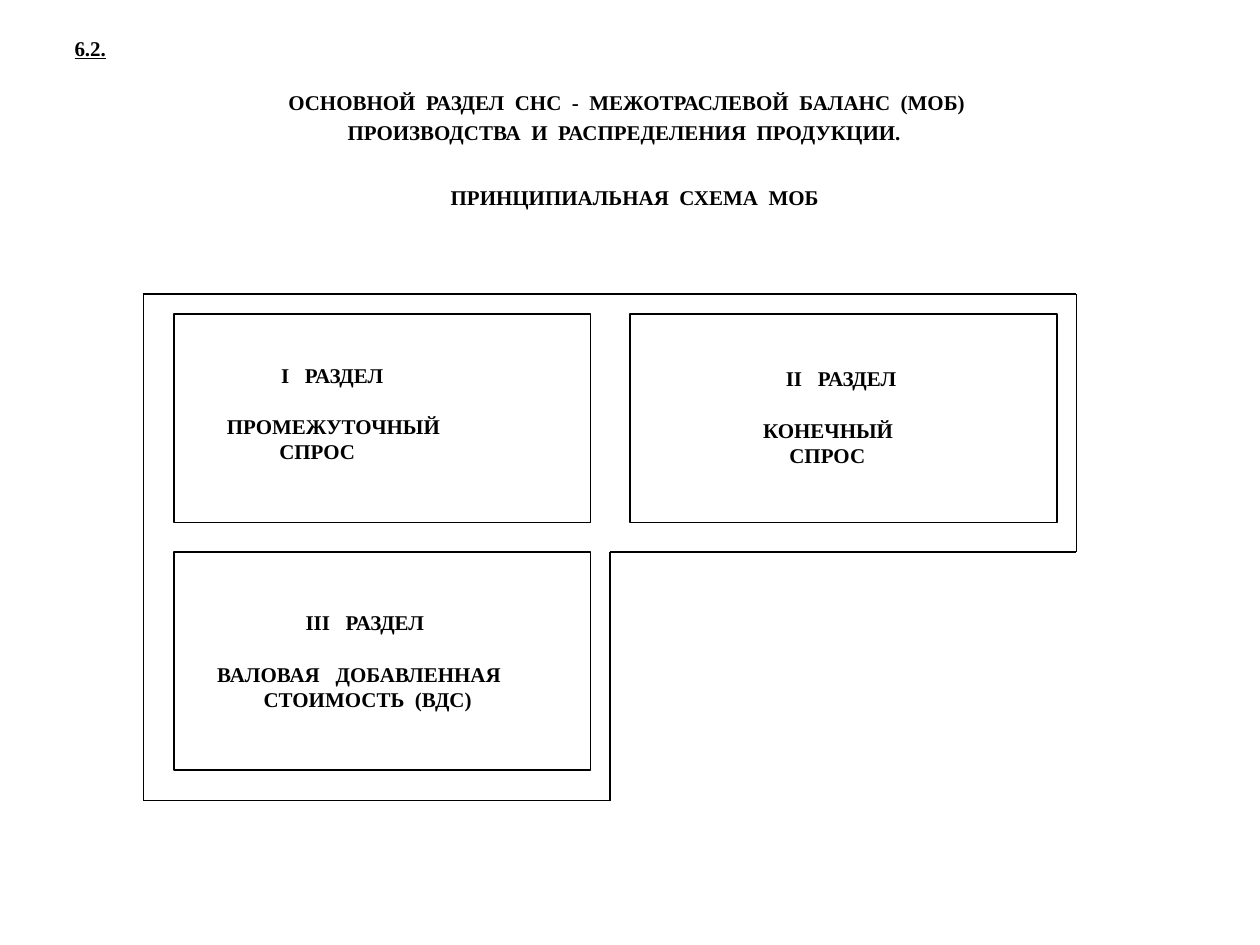
import itertools

import lxml.etree
import pptx
import pptx.dml.color
import pptx.enum.shapes
import pptx.enum.text
import pptx.oxml.ns
import pptx.util

Pt = pptx.util.Pt
LEFT = pptx.enum.text.PP_ALIGN.LEFT
CENTER = pptx.enum.text.PP_ALIGN.CENTER

BLACK = pptx.dml.color.RGBColor(0, 0, 0)
WHITE = pptx.dml.color.RGBColor(255, 255, 255)
FONT = "Times New Roman"
LINE_WIDTH = 0.75


def add_text(text_frame, text, first=False, align=LEFT, underline=False,
             before=0, left_indent=0, right_indent=0):
    paragraph = text_frame.paragraphs[0] if first else text_frame.add_paragraph()
    paragraph.alignment = align
    paragraph.space_before = Pt(before)
    properties = paragraph._p.get_or_add_pPr()
    properties.set("marL", str(Pt(left_indent)))
    properties.set("marR", str(Pt(right_indent)))
    properties.set("indent", "0")
    lxml.etree.SubElement(properties, pptx.oxml.ns.qn("a:buNone"))
    run = paragraph.add_run()
    run.text = text
    run.font.name = FONT
    run.font.size = Pt(12)
    run.font.bold = True
    run.font.underline = underline
    run.font.color.rgb = BLACK


def add_text_box(slide, left, top, width, height, wrap=True, margin_top=3.6):
    shape = slide.shapes.add_textbox(Pt(left), Pt(top), Pt(width), Pt(height))
    shape.text_frame.word_wrap = wrap
    shape.text_frame.margin_top = Pt(margin_top)
    return shape.text_frame


def add_section_number(slide, left, top, width, height):
    text_frame = add_text_box(slide, left, top, width, height, wrap=False)
    add_text(text_frame, "6.2.", first=True, underline=True)


def fill_heading(slide, left, top, width, height):
    title = slide.shapes.title
    title._element.getparent().remove(title._element)
    body = slide.placeholders[1]
    body.left, body.top, body.width, body.height = (
        Pt(left), Pt(top), Pt(width), Pt(height))
    text_frame = body.text_frame
    text_frame.vertical_anchor = pptx.enum.text.MSO_ANCHOR.TOP
    text_frame.auto_size = pptx.enum.text.MSO_AUTO_SIZE.NONE
    text_frame.margin_top = Pt(25)
    add_text(text_frame, "ОСНОВНОЙ  РАЗДЕЛ  СНС  -  МЕЖОТРАСЛЕВОЙ  БАЛАНС  (МОБ)",
             first=True, align=CENTER, right_indent=3)
    add_text(text_frame, "ПРОИЗВОДСТВА  И  РАСПРЕДЕЛЕНИЯ  ПРОДУКЦИИ.",
             align=CENTER, before=3, right_indent=6)
    add_text(text_frame, "ПРИНЦИПИАЛЬНАЯ  СХЕМА  МОБ",
             align=CENTER, before=22.5, left_indent=6)


def add_frame(slide, left, top, width, height, column_split, row_split):
    right, bottom = left + width, top + height
    middle, notch = left + column_split, top + row_split
    corners = [(left, top), (right, top), (right, notch), (middle, notch),
               (middle, bottom), (left, bottom), (left, top)]
    for (start_x, start_y), (end_x, end_y) in itertools.pairwise(corners):
        line = slide.shapes.add_connector(
            pptx.enum.shapes.MSO_CONNECTOR.STRAIGHT,
            Pt(start_x), Pt(start_y), Pt(end_x), Pt(end_y))
        line.line.color.rgb = BLACK
        line.line.width = Pt(LINE_WIDTH)
        lxml.etree.SubElement(line._element.spPr, pptx.oxml.ns.qn("a:effectLst"))


def add_section(slide, left, top, width, height, label, lines):
    rectangle = slide.shapes.add_shape(
        pptx.enum.shapes.MSO_SHAPE.RECTANGLE,
        Pt(left), Pt(top), Pt(width), Pt(height))
    rectangle.shadow.inherit = False
    rectangle.fill.solid()
    rectangle.fill.fore_color.rgb = WHITE
    rectangle.line.color.rgb = BLACK
    rectangle.line.width = Pt(LINE_WIDTH)

    offset_x, offset_y, label_width, label_height = label
    text_frame = add_text_box(slide, left + offset_x, top + offset_y,
                              label_width, label_height, margin_top=23.5)
    for index, (text, indent) in enumerate(lines):
        add_text(text_frame, text, first=index == 0,
                 before=15 if index == 1 else 0, left_indent=indent)


def add_scheme(slide, left, top, width, height):
    column_split, row_split = 266.5, 147.5
    add_frame(slide, left, top, width, height, column_split, row_split)
    first_column, second_column = left + 17.5, left + 278
    first_row, second_row = top + 11.5, top + row_split
    add_section(slide, first_column, first_row, 238, 119, (23, 4, 140, 84),
                [("I   РАЗДЕЛ", 31), ("ПРОМЕЖУТОЧНЫЙ", 0), ("СПРОС", 30)])
    add_section(slide, second_column, first_row, 244, 119, (51, 6, 153, 99),
                [("II   РАЗДЕЛ", 31), ("КОНЕЧНЫЙ", 18), ("СПРОС", 33)])
    add_section(slide, first_column, second_row, 238, 124.5, (17.5, 9.5, 179, 84),
                [("III   РАЗДЕЛ", 50.5), ("ВАЛОВАЯ   ДОБАВЛЕННАЯ", 0),
                 ("СТОИМОСТЬ  (ВДС)", 26.5)])


def main():
    presentation = pptx.Presentation()
    presentation.slide_width = Pt(720)
    presentation.slide_height = Pt(540)
    slide = presentation.slides.add_slide(presentation.slide_layouts[1])
    fill_heading(slide, 19.5, 26, 680.5, 487.5)
    add_scheme(slide, 82, 168, 533, 289.5)
    add_section_number(slide, 35.5, 16.5, 32.5, 21.5)
    presentation.save("out.pptx")


if __name__ == "__main__":
    main()
